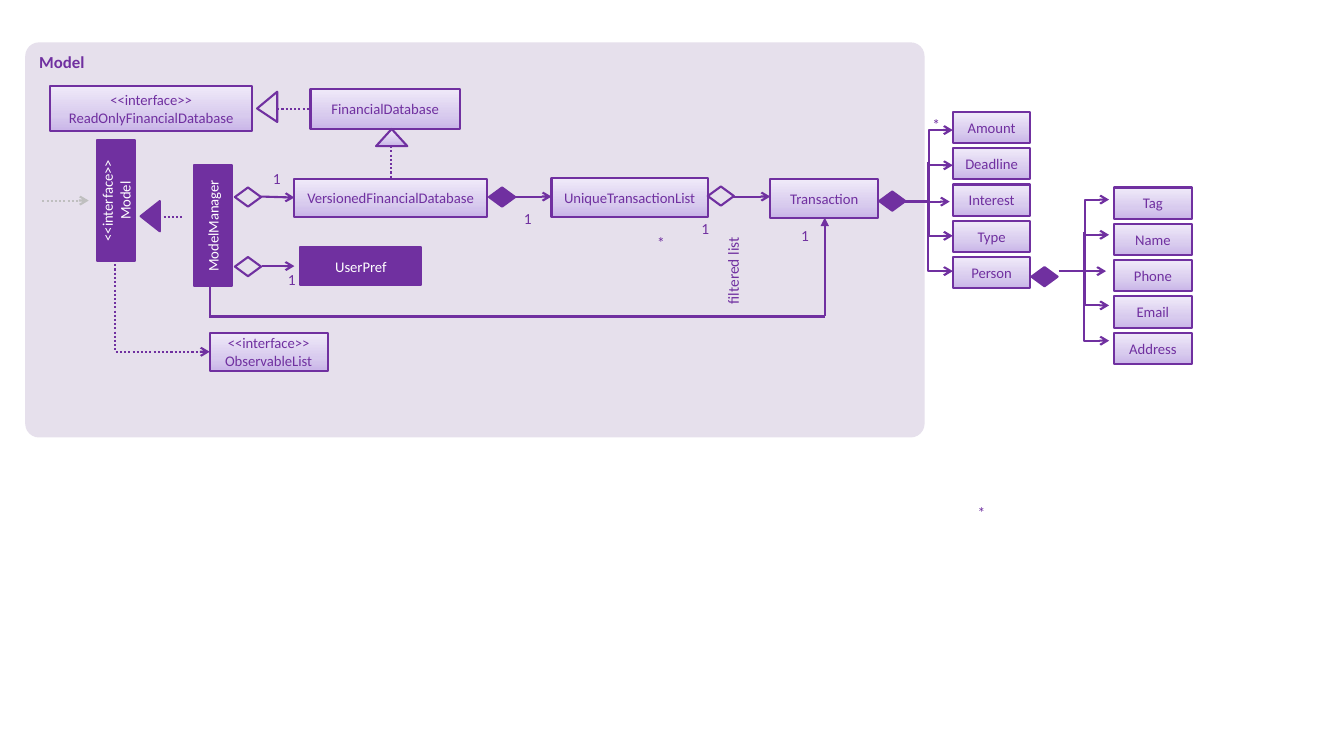
from dataclasses import dataclass
from typing import Any

from lxml.etree import SubElement
from pptx import Presentation
from pptx.dml.color import RGBColor
from pptx.enum.dml import MSO_LINE
from pptx.enum.shapes import MSO_CONNECTOR, MSO_SHAPE
from pptx.enum.text import MSO_ANCHOR, PP_ALIGN
from pptx.oxml.ns import qn
from pptx.util import Inches, Pt

COLORS = {"purple": "7030A0", "panel": "E6E0EC", "white": "FFFFFF", "grey": "BFBFBF",
          "deep": "C9B5E8", "middle": "D8CBEE", "pale": "F0EAF9"}
GRADIENT = [(0, "deep"), (35, "middle"), (100, "pale")]
FONT = "Calibri"
ROW_PITCH = 0.36
BRANCH_PITCH = 0.35


def rgb(name):
    """Return a named colour."""
    return RGBColor.from_string(COLORS[name])


def write(shape, lines, size, color, align=PP_ALIGN.CENTER, bold=False):
    """Write one paragraph for each line of text."""
    frame = shape.text_frame
    frame.word_wrap = True
    for index, line in enumerate(lines):
        paragraph = frame.add_paragraph() if index else frame.paragraphs[0]
        paragraph.alignment = align
        run = paragraph.add_run()
        run.text = line
        run.font.name = FONT
        run.font.size = Pt(size)
        run.font.bold = bold
        run.font.color.rgb = rgb(color)


def paint(shape, fill):
    """Fill a shape with a colour, the pale gradient or nothing."""
    if fill is None:
        shape.fill.background()
    elif fill == "gradient":
        shape.fill.gradient()
        shape.fill.gradient_angle = 90
        stops = shape._element.spPr.find(qn("a:gradFill")).find(qn("a:gsLst"))
        for stop in list(stops):
            stops.remove(stop)
        for position, name in GRADIENT:
            stop = SubElement(stops, qn("a:gs"), pos=str(position * 1000))
            SubElement(stop, qn("a:srgbClr"), val=COLORS[name])
    else:
        shape.fill.solid()
        shape.fill.fore_color.rgb = rgb(fill)


@dataclass
class Region:
    """A part of the slide whose parts are placed from its top left corner."""
    slide: Any
    left: float
    top: float

    def shape(self, kind, left, top, width, height, fill=None, rotation=0, outlined=True):
        """Add a preset shape."""
        shape = self.slide.shapes.add_shape(
            kind, Inches(self.left + left), Inches(self.top + top), Inches(width), Inches(height))
        shape.shadow.inherit = False
        shape.rotation = rotation
        paint(shape, fill)
        if outlined:
            shape.line.color.rgb = rgb("purple")
            shape.line.width = Pt(1.5)
        else:
            shape.line.fill.background()
        return shape

    def box(self, lines, left, top, width, height, fill="gradient", rotation=0):
        """Add a class box with its name."""
        shape = self.shape(MSO_SHAPE.RECTANGLE, left, top, width, height, fill, rotation)
        shape.text_frame.vertical_anchor = MSO_ANCHOR.MIDDLE
        write(shape, lines, 10.5, "purple" if fill == "gradient" else "white")

    def diamond(self, left, top, fill=None):
        """Add an aggregation or composition diamond."""
        self.shape(MSO_SHAPE.FLOWCHART_DECISION, left, top, 0.26, 0.19, fill)

    def label(self, text, left, top, width=0.21, height=0.2):
        """Add a multiplicity mark."""
        label = self.slide.shapes.add_textbox(
            Inches(self.left + left), Inches(self.top + top), Inches(width), Inches(height))
        frame = label.text_frame
        frame.margin_left = frame.margin_right = frame.margin_top = frame.margin_bottom = 0
        write(label, [text], 11, "purple")

    def line(self, x1, y1, x2, y2, head=None, dotted=False, color="purple",
             kind=MSO_CONNECTOR.STRAIGHT):
        """Add a connector."""
        connector = self.slide.shapes.add_connector(
            kind, Inches(self.left + x1), Inches(self.top + y1),
            Inches(self.left + x2), Inches(self.top + y2))
        connector.line.color.rgb = rgb(color)
        connector.line.width = Pt(1.5)
        if dotted:
            connector.line.dash_style = MSO_LINE.ROUND_DOT
        if head:
            SubElement(connector.line._get_or_add_ln(), qn("a:tailEnd"), type=head)
        SubElement(connector._element.spPr, qn("a:effectLst"))
        return connector

    def corner(self, x1, y1, x2, y2, dotted=False):
        """Add an arrow that goes down and then right."""
        wide, high = x2 - x1, y2 - y1
        left, top = (x1 + x2 - high) / 2, (y1 + y2 - wide) / 2
        connector = self.line(left, top, left + high, top + wide, "arrow", dotted,
                              kind=MSO_CONNECTOR.ELBOW)
        properties = connector._element.spPr
        properties.find(qn("a:prstGeom")).set("prst", "bentConnector2")
        transform = properties.find(qn("a:xfrm"))
        transform.set("rot", str(270 * 60000))
        transform.set("flipH", "1")


def draw_model(slide, left, top):
    """Draw the Model package with its classes and relations."""
    region = Region(slide, left, top)
    panel = region.shape(MSO_SHAPE.ROUNDED_RECTANGLE, 0, 0, 8.92, 3.92, "panel", outlined=False)
    panel.adjustments[0] = 0.035
    panel.text_frame.vertical_anchor = MSO_ANCHOR.TOP
    write(panel, ["Model"], 12, "purple", PP_ALIGN.LEFT, True)

    for lines, x, y, width, height in [
            (["VersionedFinancialDatabase"], 2.67, 1.36, 1.91, 0.37),
            (["UniqueTransactionList"], 5.22, 1.35, 1.55, 0.38),
            (["Transaction"], 7.39, 1.36, 1.07, 0.38),
            (["<<interface>>", "ReadOnlyFinancialDatabase"], 0.25, 0.43, 2, 0.45),
            (["<<interface>>", "ObservableList"], 1.83, 2.88, 1.17, 0.38),
            (["FinancialDatabase"], 2.83, 0.46, 1.48, 0.4)]:
        region.box(lines, x, y, width, height)
    for lines, x, y, rotation in [
            (["UserPref"], 2.73, 2.03, 0),
            (["ModelManager"], 1.26, 1.63, 270),
            (["<<interface>>", "Model"], 0.3, 1.38, 270)]:
        region.box(lines, x, y, 1.2, 0.38, "purple", rotation)

    for x, y, fill in [(2.08, 2.13, None), (2.08, 1.44, None),
                       (4.6, 1.44, "purple"), (6.77, 1.43, None)]:
        region.diamond(x, y, fill)
    region.shape(MSO_SHAPE.ISOSCELES_TRIANGLE, 1.09, 1.63, 0.3, 0.19, "purple", 270)
    region.shape(MSO_SHAPE.ISOSCELES_TRIANGLE, 3.48, 0.86, 0.31, 0.17, "gradient")
    reader = region.shape(MSO_SHAPE.ISOSCELES_TRIANGLE, 2.25, 0.54, 0.3, 0.2, "panel", 270)
    reader.adjustments[0] = 0.445

    for ends in [(2.35, 2.22, 2.67, 2.22), (2.34, 1.53, 2.67, 1.54),
                 (4.86, 1.53, 5.22, 1.53), (7.02, 1.53, 7.39, 1.53)]:
        region.line(*ends, head="arrow")
    for ends in [(1.33, 1.73, 1.57, 1.73), (3.63, 1.03, 3.63, 1.35), (2.5, 0.66, 2.83, 0.66)]:
        region.line(*ends, dotted=True)
    region.line(0.17, 1.57, 0.63, 1.57, "arrow", True, "grey")
    region.corner(0.89, 2.16, 1.83, 3.07, dotted=True)

    region.line(1.83, 2.43, 1.83, 2.73)
    region.line(1.83, 2.72, 7.93, 2.72)
    region.line(7.93, 2.72, 7.93, 1.74, "triangle")

    for text, x, y in [("1", 4.88, 1.65), ("*", 6.2, 1.89), ("1", 2.39, 1.26),
                       ("1", 2.54, 2.26), ("1", 6.64, 1.75), ("1", 7.63, 1.82)]:
        region.label(text, x, y)
    filtered = slide.shapes.add_textbox(
        Inches(left + 6.54), Inches(top + 2.17), Inches(0.96), Inches(0.29))
    filtered.rotation = 270
    write(filtered, ["filtered list"], 11, "purple", PP_ALIGN.RIGHT)


def draw_parts(slide, left, top, names, stem):
    """Draw a diamond, its branching arrows and the column of classes it owns."""
    region = Region(slide, left, top)
    region.diamond(0, 0.79, "purple")
    for index, name in enumerate(names):
        region.box([name], stem + 0.47, ROW_PITCH * index, 0.77, 0.31)


def draw_branches(slide, left, top):
    """Draw the five arrows that fan out from one stem."""
    region = Region(slide, left, top)
    for index in (0, 1, 3):
        region.line(0, 0, 0.47, BRANCH_PITCH * index - 0.71, "arrow", kind=MSO_CONNECTOR.ELBOW)
    region.line(-0.03, 0, 0.44, 0, "arrow")
    region.corner(0.22, -0.39, 0.47, 0.69)


def main():
    """Build the class diagram slide."""
    presentation = Presentation()
    presentation.slide_width = Inches(13.33)
    presentation.slide_height = Inches(7.5)
    slide = presentation.slides.add_slide(presentation.slide_layouts[6])
    draw_model(slide, 0.25, 0.42)
    draw_parts(slide, 8.72, 1.11, ["Amount", "Deadline", "Interest", "Type", "Person"], 0.26)
    draw_parts(slide, 10.23, 1.86, ["Tag", "Name", "Phone", "Email", "Address"], 0.35)
    draw_branches(slide, 8.98, 2)
    draw_branches(slide, 10.53, 2.69)
    marks = Region(slide, 0, 0)
    marks.label("*", 9.18, 1.14)
    marks.label("*", 9.63, 4.99)
    presentation.save("out.pptx")


main()
